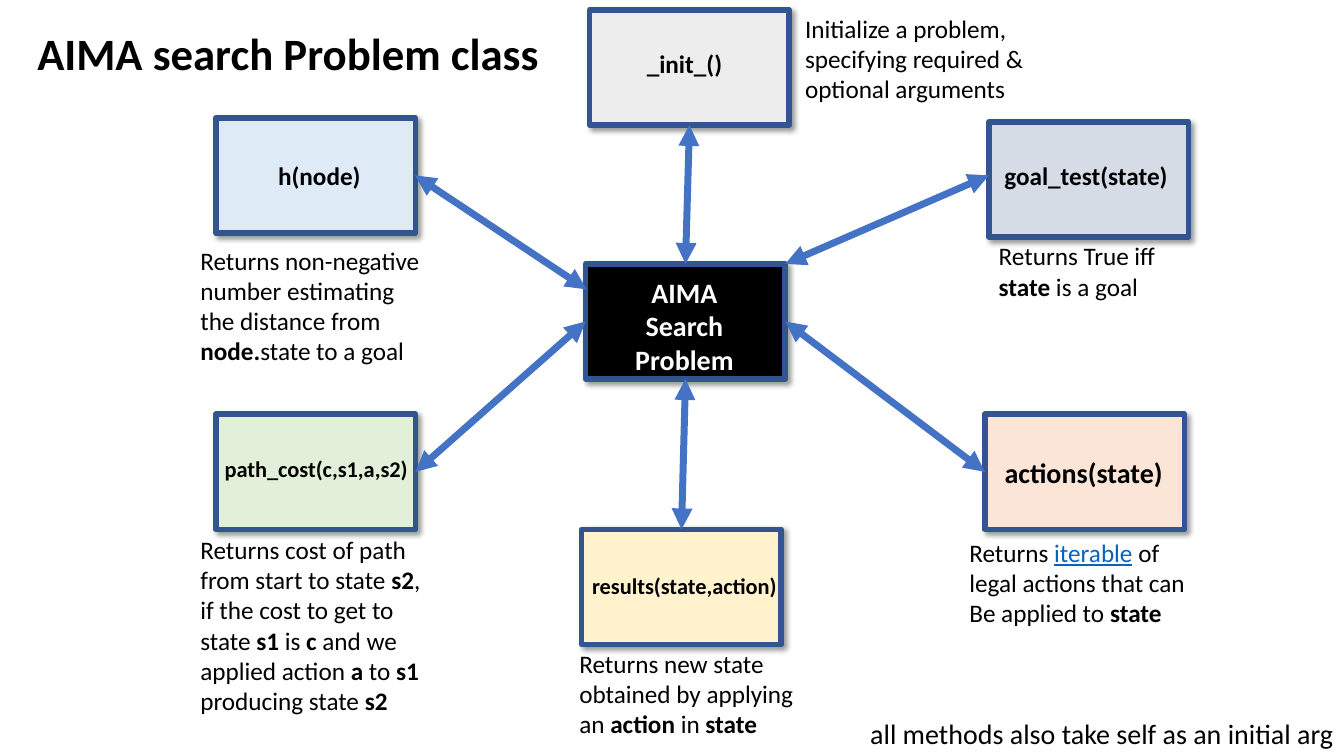
from lxml.etree import SubElement
from pptx import Presentation
from pptx.dml.color import RGBColor as Rgb
from pptx.enum.shapes import MSO_CONNECTOR as Link, MSO_SHAPE as Form
from pptx.enum.text import PP_ALIGN as Align
from pptx.oxml.ns import qn
from pptx.util import Cm, Pt

BLACK = Rgb(0x00, 0x00, 0x00)
WHITE = Rgb(0xFF, 0xFF, 0xFF)
NAVY = Rgb(0x32, 0x54, 0x91)
BLUE = Rgb(0x44, 0x72, 0xC4)
LINK = Rgb(0x05, 0x63, 0xC1)
PEACH = Rgb(0xFB, 0xE5, 0xD6)
CREAM = Rgb(0xFF, 0xF2, 0xCC)
SKY = Rgb(0xDE, 0xEB, 0xF7)
SLATE = Rgb(0xD6, 0xDC, 0xE5)
GREEN = Rgb(0xE2, 0xF0, 0xD9)
GRAY = Rgb(0xED, 0xED, 0xED)

BOX_W, BOX_H = 5.03, 2.9
TOP, LEFT, BOTTOM, RIGHT = range(4)  # connection sites of a box


class Board:
    """Holds the style and the current slide."""

    font = "Calibri"

    def __init__(self, deck):
        """Add a blank slide to the deck."""
        self.slide = deck.slides.add_slide(deck.slide_layouts[6])

    def text(self, words, spot, size=18, color=BLACK, bold=False,
             align=Align.LEFT, home=None):
        """Add a text box; *stars* mark bold, \\v a line break. Return its runs."""
        shapes = (home or self.slide).shapes
        frame = shapes.add_textbox(*map(Cm, spot)).text_frame
        frame.word_wrap = True
        runs = []
        for row, line in enumerate(words.split("\n")):
            para = frame.add_paragraph() if row else frame.paragraphs[0]
            para.alignment = align
            for turn, piece in enumerate(line.split("*")):
                for step, part in enumerate(piece.split("\v")):
                    if step:
                        para.add_line_break()
                    if not part:
                        continue
                    run = para.add_run()
                    run.text = part
                    run.font.name, run.font.size = self.font, Pt(size)
                    run.font.bold = bold or turn % 2 == 1
                    run.font.color.rgb = color
                    runs.append(run)
        return runs

    def shade(self, shape):
        """Give a shape a soft shadow to the lower right."""
        shape.shadow.inherit = False
        effects = shape._element.spPr.find(qn("a:effectLst"))
        outer = SubElement(effects, qn("a:outerShdw"), blurRad=str(Pt(4)),
                           dist=str(Pt(3)), dir="2700000", algn="tl",
                           rotWithShape="0")
        tint = SubElement(outer, qn("a:srgbClr"), val=str(BLACK))
        SubElement(tint, qn("a:alpha"), val="40000")

    def box(self, name, place, fill, spot, size, color=BLACK):
        """Add a framed box grouped with its bold label; return the box."""
        group = self.slide.shapes.add_group_shape()
        box = group.shapes.add_shape(Form.RECTANGLE, *map(Cm, place),
                                     Cm(BOX_W), Cm(BOX_H))
        box.fill.solid()
        box.fill.fore_color.rgb = fill
        box.line.color.rgb, box.line.width = NAVY, Pt(4)
        self.shade(box)
        self.text(name, spot, size, color, True, Align.CENTER, group)
        return box

    def arrow(self, start=(0, 0), end=(0, 0)):
        """Add a line with a head at each end."""
        line = self.slide.shapes.add_connector(
            Link.STRAIGHT, *map(Cm, start + end))
        line.line.color.rgb, line.line.width = BLUE, Pt(5)
        for tag in ("a:headEnd", "a:tailEnd"):
            SubElement(line.line._get_or_add_ln(), qn(tag), type="triangle")
        SubElement(line._element.spPr, qn("a:effectLst"))
        return line

    def join(self, box, site, hub, port):
        """Glue an arrow between a box and the hub."""
        line = self.arrow()
        line.begin_connect(box, site)
        line.end_connect(hub, port)


deck = Presentation()
deck.slide_width, deck.slide_height = Cm(33.87), Cm(19.05)
board = Board(deck)

hub = board.box("AIMA\vSearch\nProblem", (14.76, 6.65), BLACK,
                (14.86, 6.81, 4.78, 2.82), 20, WHITE)
actions = board.box("actions(state)", (24.82, 10.44), PEACH,
                    (24.92, 11.35, 4.78, 1.12), 20)
results = board.box("results(state,action)", (14.66, 13.34), CREAM,
                    (14.66, 14.3, 5.18, 0.94), 16)
board.box("h(node)", (5.44, 2.97), SKY, (5.66, 3.91, 4.78, 1.02), 18)
board.box("goal_test(state)", (24.92, 3.07), SLATE,
          (24.92, 3.91, 4.9, 1.02), 18)
cost = board.box("path_cost(c,s1,a,s2)", (5.44, 10.44), GREEN,
                 (5.33, 11.35, 5.28, 0.94), 16)
init = board.box("_init_()", (14.86, 0.25), GRAY,
                 (14.86, 1.09, 4.78, 1.02), 18)

board.join(init, BOTTOM, hub, TOP)
board.join(actions, LEFT, hub, RIGHT)
board.join(results, TOP, hub, BOTTOM)
board.join(cost, RIGHT, hub, LEFT)
board.arrow((24.92, 4.42), (19.79, 6.65))
board.arrow((10.46, 4.42), (14.78, 7.29))

term = board.text("Returns *iterable* of\vlegal actions that can\n"
                  "Be applied to *state*", (24.18, 13.41, 6.02, 2.57))[1].font
term.bold, term.underline, term.color.rgb = False, True, LINK

NOTES = [
    ("Returns True iff\v*state* is a goal", (24.92, 5.94, 4.52, 1.8)),
    ("Returns new state obtained by applying an *action* in *state*",
     (14.35, 16.21, 6.1, 2.57)),
    ("Returns cost of path from start to state *s2*, if the cost to get to "
     "state *s1* is *c* and we applied action *a* to *s1* producing state "
     "*s2*", (4.8, 13.34, 6.1, 4.88)),
    ("Returns non-negative number estimating the distance from *node.*state "
     "to a goal", (4.8, 6.05, 6.1, 3.33)),
    ("Initialize a problem, specifying required & optional arguments",
     (20.04, 0.2, 6.1, 2.57)),
]
for words, spot in NOTES:
    board.text(words, spot)

board.text("all methods also take self as an initial arg",
           (21.41, 17.93, 12.45, 1.12), 20, align=Align.RIGHT)
board.text("AIMA search Problem class", (0.69, 0.53, 13.41, 1.63), 32,
           bold=True)

deck.save("out.pptx")
